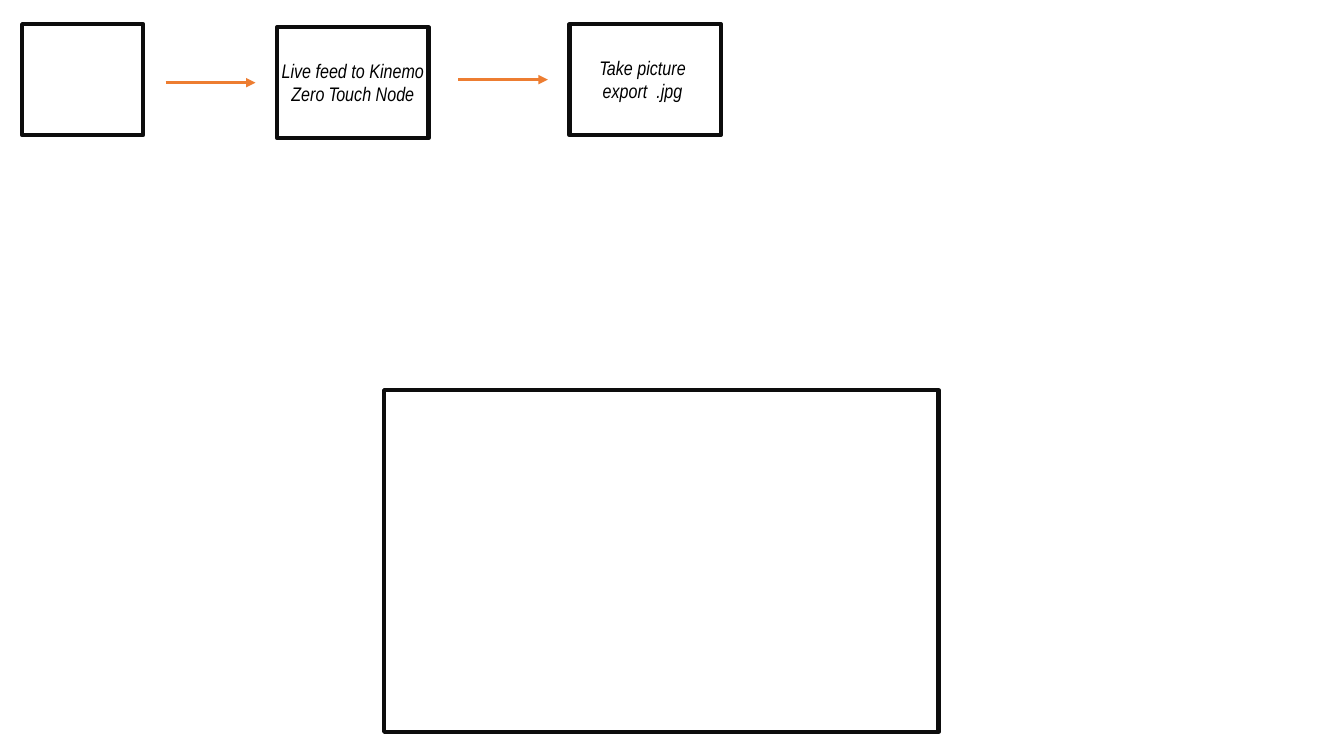
from lxml import etree
from pptx import Presentation
from pptx.dml.color import RGBColor
from pptx.enum.shapes import MSO_CONNECTOR, MSO_SHAPE
from pptx.enum.text import MSO_AUTO_SIZE, PP_ALIGN
from pptx.oxml.ns import qn
from pptx.util import Inches, Pt

# Lengths are percent of the slide: columns across, rows down.
# Step: left, top, width, caption shift, caption lines
STEPS = [
    (1.65, 3.2, 9, 0, []),
    (20.63, 3.6, 11.25, 0, ["Live feed to Kinemo", "Zero Touch Node"]),
    (42.38, 3.2, 11.25, -0.19, ["Take picture", "export  .jpg"]),
]
STEP_HEIGHT = 14.67
SCREEN = (28.58, 51.6, 41.26, 45.2)
CAPTION_WIDTH, CAPTION_HEIGHT = 13.58, 7.6
ARROW_LENGTH, ARROW_GAP = 6.68, 1.62

WHITE = RGBColor(0xFF, 0xFF, 0xFF)
BLACK = RGBColor(0, 0, 0)
OUTLINE = RGBColor(0x0D, 0x0D, 0x0D)
ORANGE = RGBColor(0xED, 0x7D, 0x31)

presentation = Presentation()
presentation.slide_width, presentation.slide_height = Inches(13.33), Inches(7.5)
slide = presentation.slides.add_slide(presentation.slide_layouts[6])


def across(columns):
    return round(presentation.slide_width * columns / 100)


def down(rows):
    return round(presentation.slide_height * rows / 100)


def add_box(left, top, width, height):
    box = slide.shapes.add_shape(
        MSO_SHAPE.RECTANGLE, across(left), down(top), across(width), down(height))
    box.shadow.inherit = False
    box.fill.solid()
    box.fill.fore_color.rgb = WHITE
    box.line.color.rgb = OUTLINE
    box.line.width = Pt(3)


def add_arrow(end, middle):
    """Draw a level arrow that stops at column end, on row middle."""
    arrow = slide.shapes.add_connector(
        MSO_CONNECTOR.STRAIGHT, across(end - ARROW_LENGTH), down(middle),
        across(end), down(middle))
    arrow.line.color.rgb = ORANGE
    arrow.line.width = Pt(2.25)
    etree.SubElement(arrow.line._get_or_add_ln(), qn("a:tailEnd"), type="triangle")
    etree.SubElement(arrow._element.spPr, qn("a:effectLst"))


def add_caption(center, middle, lines):
    caption = slide.shapes.add_textbox(
        across(center - CAPTION_WIDTH / 2), down(middle - CAPTION_HEIGHT / 2),
        across(CAPTION_WIDTH), down(CAPTION_HEIGHT))
    frame = caption.text_frame
    frame.word_wrap = True
    frame.auto_size = MSO_AUTO_SIZE.SHAPE_TO_FIT_TEXT
    for index, line in enumerate(lines):
        paragraph = frame.add_paragraph() if index else frame.paragraphs[0]
        paragraph.alignment = PP_ALIGN.CENTER
        run = paragraph.add_run()
        run.text = line
        run.font.name = "Arial Narrow"
        run.font.size = Pt(14)
        run.font.italic = True
        run.font.color.rgb = BLACK


add_box(*SCREEN)
for number, (left, top, width, shift, lines) in enumerate(STEPS):
    middle = top + STEP_HEIGHT / 2
    if number:
        add_arrow(left - ARROW_GAP, middle)
    add_box(left, top, width, STEP_HEIGHT)
    if lines:
        add_caption(left + width / 2 + shift, middle, lines)

presentation.save("out.pptx")
